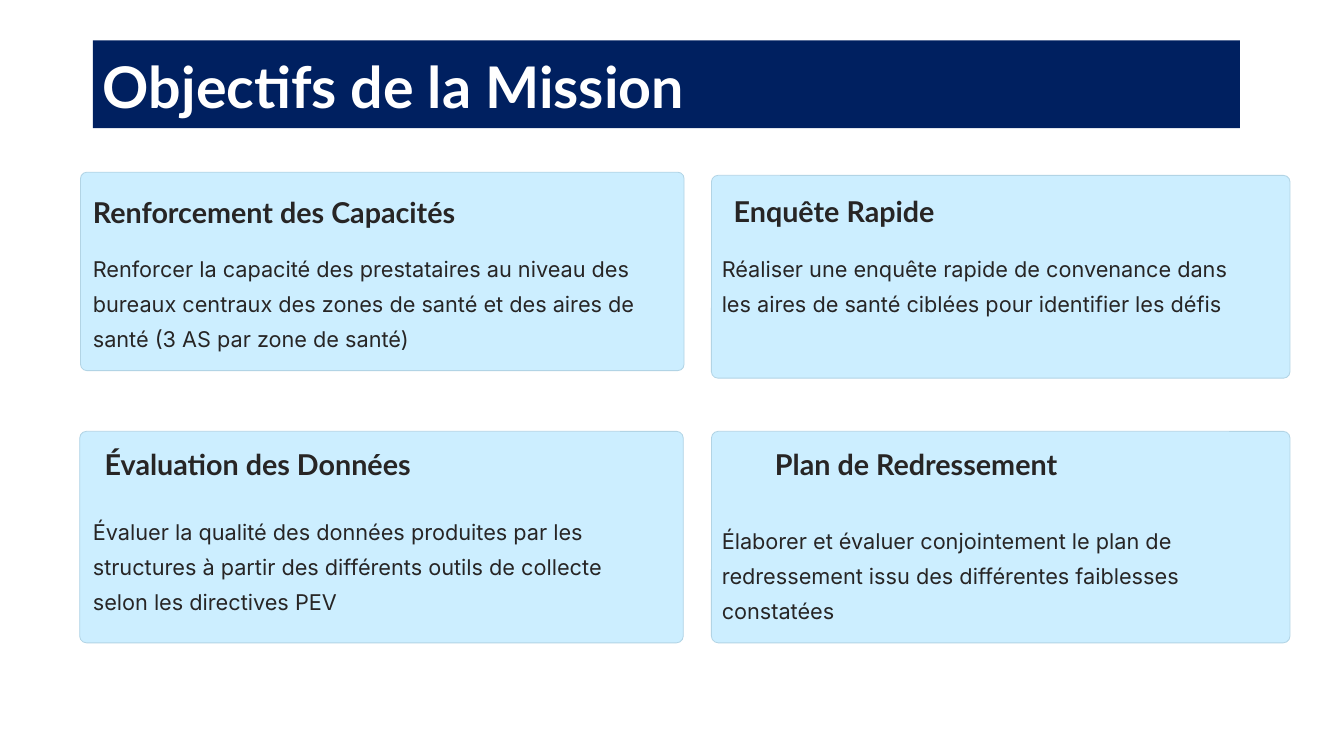
import pptx
import pptx.util
import pptx.dml.color
import pptx.enum.shapes
import pptx.enum.text

Cm, Pt = pptx.util.Cm, pptx.util.Pt

TITLE = "Objectifs de la Mission"
COLORS = {"navy": "002060", "card": "CCEEFF", "border": "B2D4E5",
          "text": "272525", "white": "FFFFFF"}

# Each box is (left, top, width, height) in cm
OBJECTIVES = [
    {"card": (2.03, 4.34, 15.21, 5.0),
     "heading": "Renforcement des Capacités", "heading_box": (2.34, 4.88, 9.4, 0.91),
     "body": "Renforcer la capacité des prestataires au niveau des bureaux centraux "
             "des zones de santé et des aires de santé (3 AS par zone de santé)",
     "body_box": (2.34, 6.22, 14.6, 2.74)},
    {"card": (17.93, 4.42, 14.58, 5.11),
     "heading": "Enquête Rapide", "heading_box": (18.49, 4.85, 7.24, 0.91),
     "body": "Réaliser une enquête rapide de convenance dans les aires de santé "
             "ciblées pour identifier les défis",
     "body_box": (18.19, 6.22, 13.06, 2.51)},
    {"card": (2.01, 10.87, 15.21, 5.33),
     "heading": "Évaluation des Données", "heading_box": (2.64, 11.23, 7.9, 0.91),
     "body": "Évaluer la qualité des données produites par les structures à partir "
             "des différents outils de collecte selon les directives PEV",
     "body_box": (2.34, 12.85, 14.35, 2.69)},
    {"card": (17.93, 10.87, 14.58, 5.33),
     "heading": "Plan de Redressement", "heading_box": (19.53, 11.23, 7.34, 0.91),
     "body": "Élaborer et évaluer conjointement le plan de redressement issu des "
             "différentes faiblesses constatées",
     "body_box": (18.19, 13.08, 13.67, 2.46)},
]


def rgb(name):
    return pptx.dml.color.RGBColor.from_string(COLORS[name])


def fill(shape, color):
    shape.fill.solid()
    shape.fill.fore_color.rgb = rgb(color)


def write(tf, text, font, size, spacing, color, bold=False):
    tf.text = text
    p = tf.paragraphs[0]
    p.alignment = pptx.enum.text.PP_ALIGN.LEFT
    p.line_spacing = Pt(spacing)
    r = p.runs[0]
    r.font.name, r.font.size, r.font.bold = font, Pt(size), bold
    r.font.color.rgb = rgb(color)


def add_text(s, box, wrap, *style):
    tf = s.shapes.add_textbox(*map(Cm, box)).text_frame
    tf.margin_left = tf.margin_top = tf.margin_right = tf.margin_bottom = 0
    tf.word_wrap = wrap
    write(tf, *style)


def add_card(s, box):
    card = s.shapes.add_shape(pptx.enum.shapes.MSO_SHAPE.ROUNDED_RECTANGLE, *map(Cm, box))
    card.adjustments[0] = 0.032
    card.shadow.inherit = False
    fill(card, "card")
    card.line.color.rgb = rgb("border")
    card.line.width = Pt(0.6)


def main():
    prs = pptx.Presentation()
    prs.slide_width, prs.slide_height = Cm(33.87), Cm(19.05)
    s = prs.slides.add_slide(prs.slide_layouts[5])

    # Title band
    title = s.shapes.title
    title.left, title.top, title.width, title.height = map(Cm, (2.34, 1.02, 28.91, 2.21))
    fill(title, "navy")
    tf = title.text_frame
    tf.auto_size = pptx.enum.text.MSO_AUTO_SIZE.NONE
    tf.vertical_anchor = pptx.enum.text.MSO_ANCHOR.MIDDLE
    write(tf, TITLE, "Lato", 41, 51, "white", True)

    # Objective cards
    for item in OBJECTIVES:
        add_card(s, item["card"])
        add_text(s, item["heading_box"], False,
                 item["heading"], "Lato", 20.5, 25.5, "text", True)
        add_text(s, item["body_box"], True, item["body"], "Inter", 15.5, 25, "text")

    prs.save("out.pptx")


if __name__ == "__main__":
    main()
